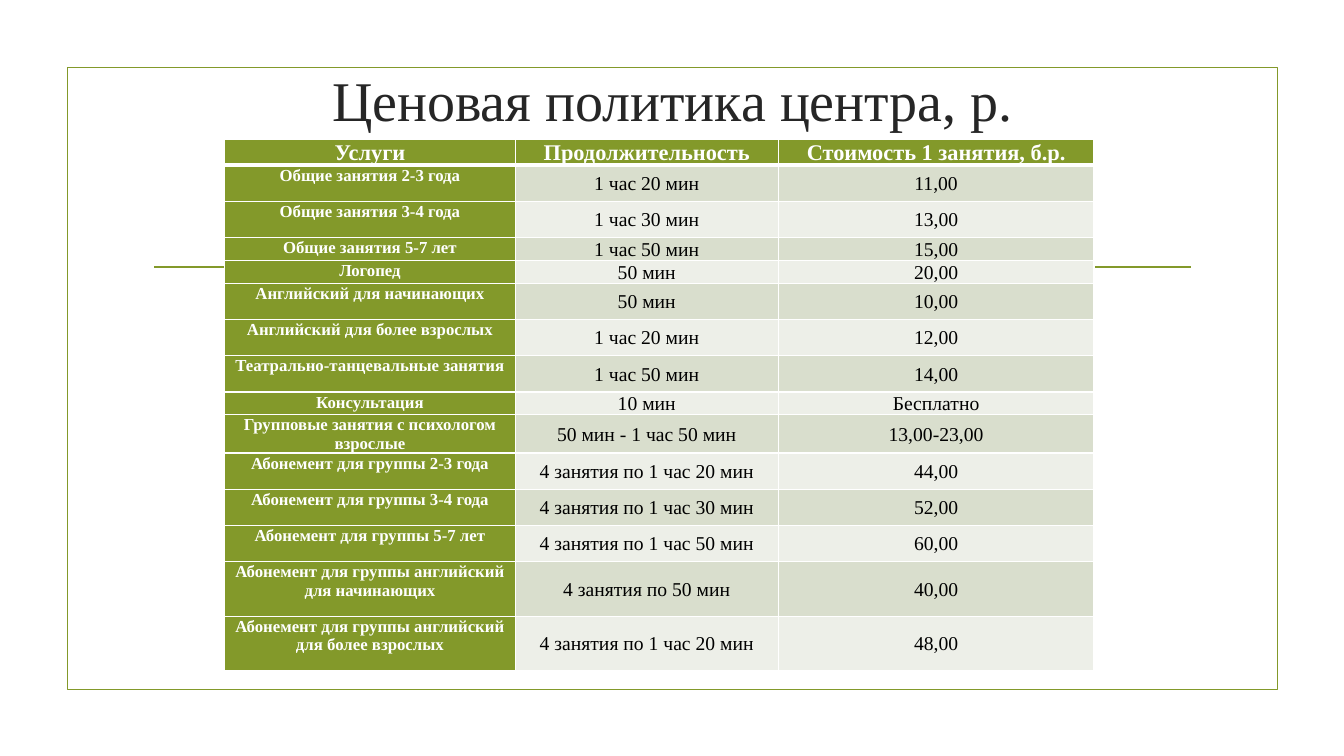
from lxml import etree
from pptx import Presentation
from pptx.dml.color import RGBColor
from pptx.enum.shapes import MSO_CONNECTOR, MSO_SHAPE
from pptx.enum.text import MSO_ANCHOR, MSO_AUTO_SIZE, PP_ALIGN
from pptx.oxml.ns import qn
from pptx.util import Inches, Pt

RECTANGLE = MSO_SHAPE.RECTANGLE
STRAIGHT = MSO_CONNECTOR.STRAIGHT
TOP, MIDDLE = MSO_ANCHOR.TOP, MSO_ANCHOR.MIDDLE
CENTER = PP_ALIGN.CENTER
NO_AUTOFIT = MSO_AUTO_SIZE.NONE

OLIVE = RGBColor(0x83, 0x99, 0x2A)
DARK_BAND = RGBColor(0xD9, 0xDE, 0xCD)
LIGHT_BAND = RGBColor(0xED, 0xEF, 0xE8)
WHITE = RGBColor(0xFF, 0xFF, 0xFF)
BLACK = RGBColor(0, 0, 0)
CHARCOAL = RGBColor(0x26, 0x26, 0x26)

FONT = "Times New Roman"
TITLE_FONT = {"name": FONT, "size": Pt(40), "bold": False}
HEADER_FONT = {"name": FONT, "size": Pt(16), "bold": True}
SERVICE_FONT = {"name": FONT, "size": Pt(12), "bold": True}
VALUE_FONT = {"name": FONT, "size": Pt(14), "bold": False}
CELL_MARGINS = {
    "margin_left": Inches(0.04),
    "margin_top": Inches(0.01),
    "margin_right": Inches(0.04),
    "margin_bottom": 0,
}

COLUMN_WIDTHS = [2.88, 2.61, 3.13]
HEADER_HEIGHT, LOW, MEDIUM, HIGH = 0.26, 0.22, 0.36, 0.54
HEADERS = ["Услуги", "Продолжительность", "Стоимость 1 занятия, б.р."]
PRICES = [
    (MEDIUM, "Общие занятия 2-3 года", "1 час 20 мин", "11,00"),
    (MEDIUM, "Общие занятия 3-4 года", "1 час 30 мин", "13,00"),
    (LOW, "Общие занятия 5-7 лет", "1 час 50 мин", "15,00"),
    (LOW, "Логопед", "50 мин", "20,00"),
    (MEDIUM, "Английский для начинающих", "50 мин", "10,00"),
    (MEDIUM, "Английский для более взрослых", "1 час 20 мин", "12,00"),
    (MEDIUM, "Театрально-танцевальные занятия", "1 час 50 мин", "14,00"),
    (LOW, "Консультация", "10 мин", "Бесплатно"),
    (MEDIUM, "Групповые занятия с психологом взрослые", "50 мин - 1 час 50 мин", "13,00-23,00"),
    (MEDIUM, "Абонемент для группы 2-3 года", "4 занятия по 1 час 20 мин", "44,00"),
    (MEDIUM, "Абонемент для группы 3-4 года", "4 занятия по 1 час 30 мин", "52,00"),
    (MEDIUM, "Абонемент для группы 5-7 лет", "4 занятия по 1 час 50 мин", "60,00"),
    (HIGH, "Абонемент для группы английский для начинающих", "4 занятия по 50 мин", "40,00"),
    (HIGH, "Абонемент для группы английский для более взрослых", "4 занятия по 1 час 20 мин", "48,00"),
]


def apply_format(target, values):
    for name, value in values.items():
        setattr(target, name, value)


def format_paragraph(paragraph, font, color):
    paragraph.alignment = CENTER
    apply_format(paragraph.font, font)
    paragraph.font.color.rgb = color


def add_backdrop(slide, left, top, width, height):
    frame = slide.shapes.add_shape(
        RECTANGLE, Inches(left), Inches(top), Inches(width), Inches(height))
    frame.shadow.inherit = False
    frame.fill.background()
    rule_inset, rule_y = 0.86, Inches(top + 1.98)
    rule = slide.shapes.add_connector(
        STRAIGHT, Inches(left + rule_inset), rule_y,
        Inches(left + width - rule_inset), rule_y)
    etree.SubElement(rule._element.spPr, qn("a:effectLst"))
    for outline in (frame.line, rule.line):
        outline.color.rgb = OLIVE
        outline.width = Pt(1.25)


def add_title(slide, left, top, width, height):
    title = slide.shapes.title
    apply_format(title, {"left": Inches(left), "top": Inches(top),
                         "width": Inches(width), "height": Inches(height)})
    text = title.text_frame
    text.text = "Ценовая политика центра, р."
    apply_format(text, {"word_wrap": True, "auto_size": NO_AUTOFIT,
                        "vertical_anchor": MIDDLE})
    format_paragraph(text.paragraphs[0], TITLE_FONT, CHARCOAL)


def add_borders(cell, top_width, bottom_width):
    properties = cell._tc.get_or_add_tcPr()
    widths = {"lnL": 1, "lnR": 1, "lnT": top_width, "lnB": bottom_width}
    for side, width in widths.items():
        border = etree.SubElement(properties, qn("a:" + side), w=str(Pt(width)))
        fill = etree.SubElement(border, qn("a:solidFill"))
        etree.SubElement(fill, qn("a:srgbClr"), val=str(WHITE))


def fill_cell(cell, wording, row, column):
    is_header, is_service = row == 0, column == 0
    add_borders(cell, 3 if row == 1 else 1, 3 if is_header else 1)
    if is_header:
        font, color, background, anchor = HEADER_FONT, WHITE, OLIVE, TOP
    elif is_service:
        font, color, background, anchor = SERVICE_FONT, WHITE, OLIVE, TOP
    else:
        band = DARK_BAND if row % 2 else LIGHT_BAND
        font, color, background, anchor = VALUE_FONT, BLACK, band, MIDDLE
    cell.fill.solid()
    cell.fill.fore_color.rgb = background
    cell.text = wording
    apply_format(cell, {**CELL_MARGINS, "vertical_anchor": anchor})
    format_paragraph(cell.text_frame.paragraphs[0], font, color)


def add_price_table(slide, left, top):
    rows = [(HEADER_HEIGHT, *HEADERS), *PRICES]
    price_table = slide.shapes.add_table(
        len(rows), len(HEADERS), Inches(left), Inches(top),
        Inches(sum(COLUMN_WIDTHS)), Inches(sum(row[0] for row in rows))).table
    price_table.first_col = True
    for column, width in zip(price_table.columns, COLUMN_WIDTHS):
        column.width = Inches(width)
    for row, (height, *wordings) in enumerate(rows):
        price_table.rows[row].height = Inches(height)
        for column, wording in enumerate(wordings):
            fill_cell(price_table.cell(row, column), wording, row, column)


def main():
    presentation = Presentation()
    presentation.slide_width = Inches(13.33)
    presentation.slide_height = Inches(7.5)
    slide = presentation.slides.add_slide(presentation.slide_layouts[5])
    add_backdrop(slide, 0.67, 0.67, 12, 6.17)
    add_title(slide, 1.42, 0.27, 10.5, 1.43)
    add_price_table(slide, 2.23, 1.38)
    presentation.save("out.pptx")


if __name__ == "__main__":
    main()
